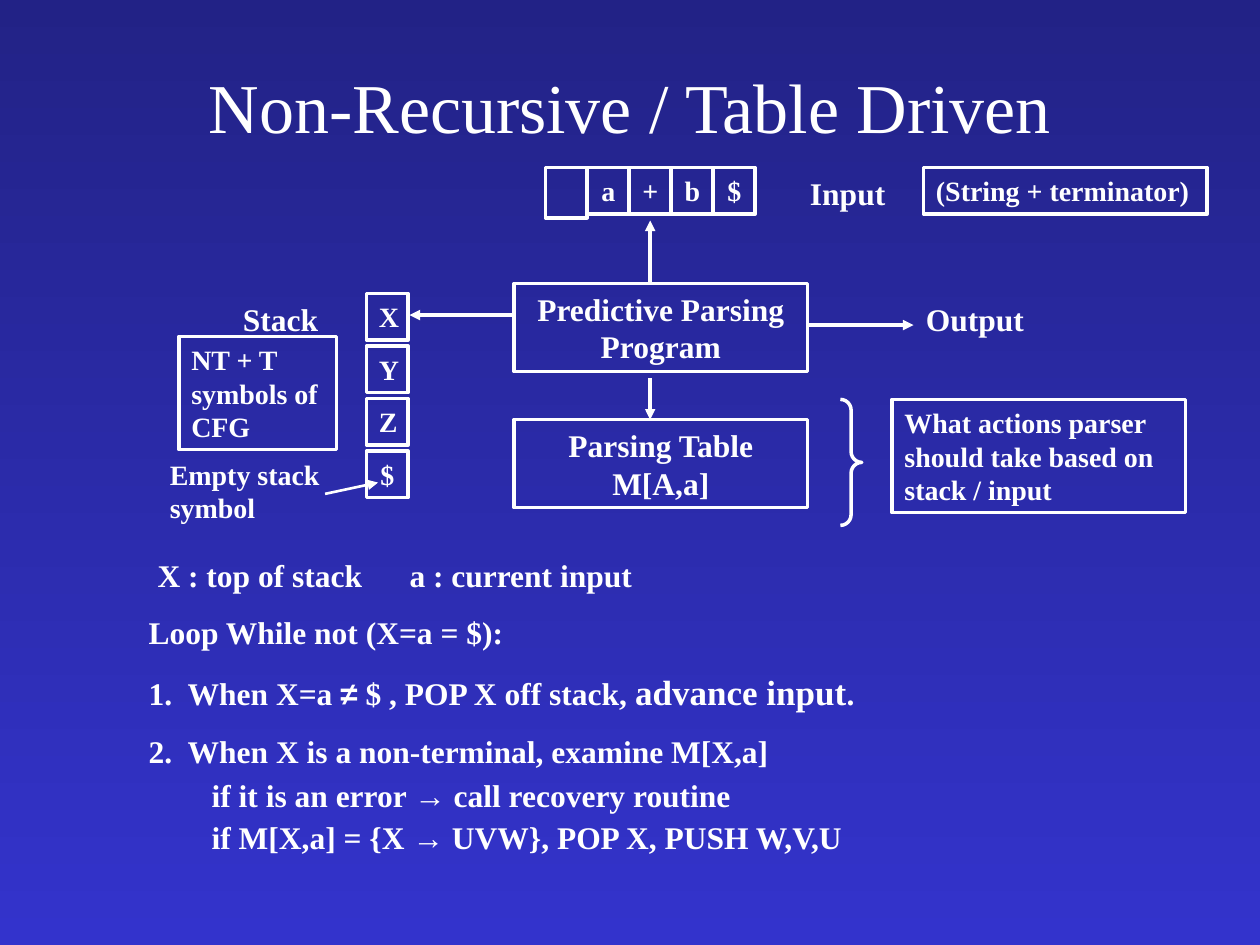
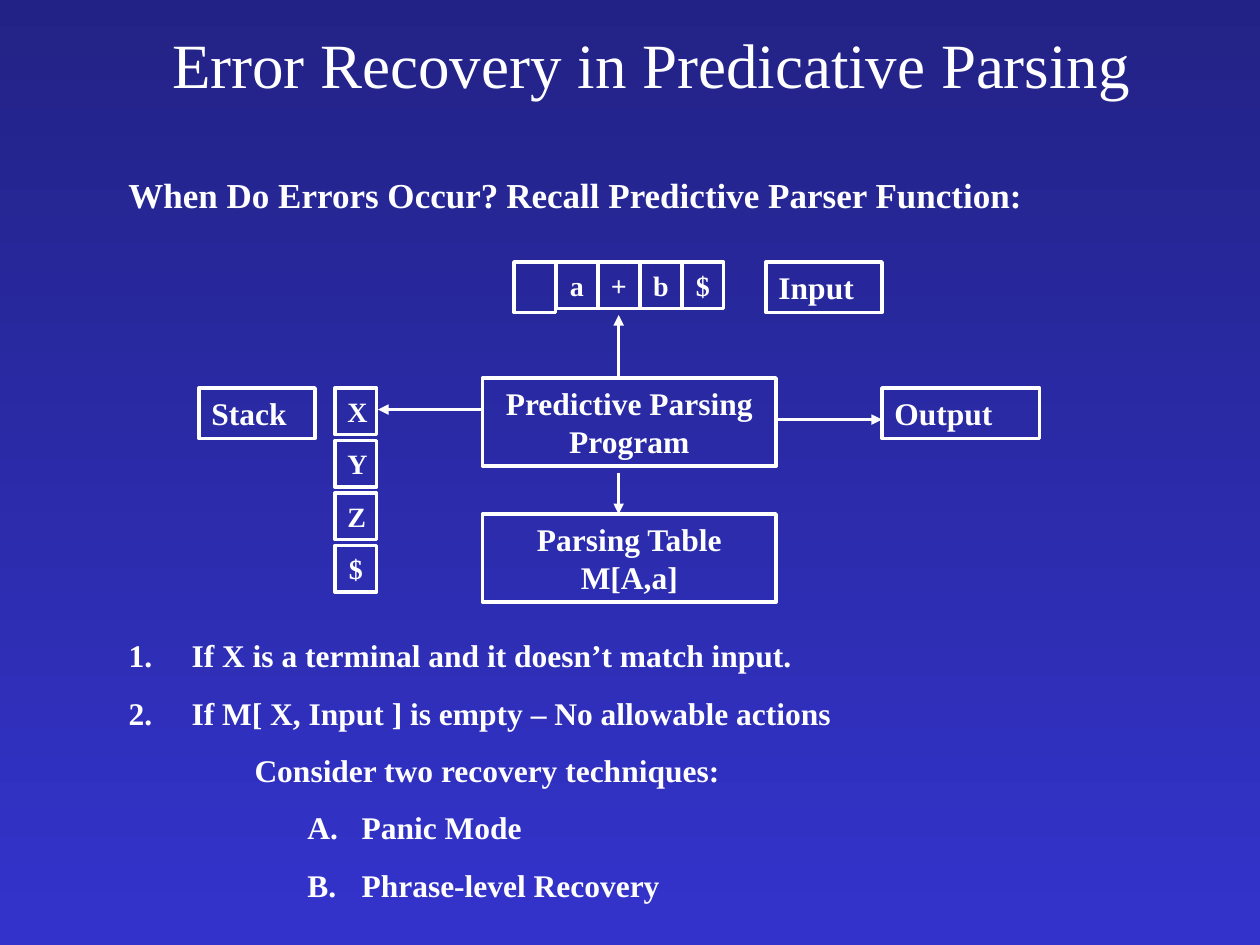
import itertools
from dataclasses import dataclass

import pptx
import pptx.dml.color
import pptx.enum.shapes
import pptx.enum.text
import pptx.oxml.ns
import pptx.util
from lxml import etree

Inches = pptx.util.Inches
Pt = pptx.util.Pt
Shape = pptx.enum.shapes.MSO_SHAPE
Align = pptx.enum.text.PP_ALIGN
Anchor = pptx.enum.text.MSO_ANCHOR


@dataclass(frozen=True)
class Theme:
    top: str = "222286"
    base: str = "3333CC"
    ink: str = "FFFFFF"
    face: str = "Times New Roman"
    signs: str = "Arial"
    cell: int = 16
    text: int = 18
    big: int = 20
    line: float = 2


def rgb(code):
    return pptx.dml.color.RGBColor.from_string(code)


def add(parent, tag, **attrs):
    node = etree.SubElement(parent, pptx.oxml.ns.qn("a:" + tag))
    for key, value in attrs.items():
        node.set(key, str(value))
    return node


class Deck:
    def __init__(self, theme):
        self.theme = theme
        self.prs = pptx.Presentation()
        self.prs.slide_width = Inches(10)
        self.prs.slide_height = Inches(7.5)
        self.slide = None
        # Shared gradient, dark at the top
        fill = self.prs.slide_master.background.fill
        fill.gradient()
        fill.gradient_angle = 270
        for stop, code in zip(fill.gradient_stops, (theme.top, theme.base)):
            stop.color.rgb = rgb(code)

    def place(self, shape, x, y, w, h):
        shape.left, shape.top = Inches(x), Inches(y)
        shape.width, shape.height = Inches(w), Inches(h)

    def start(self, title, size, *box):
        """Add a slide and set its title."""
        self.slide = self.prs.slides.add_slide(self.prs.slide_layouts[1])
        head = self.slide.shapes.title
        self.place(head, *box)
        head.text_frame.auto_size = pptx.enum.text.MSO_AUTO_SIZE.NONE
        head.text_frame.vertical_anchor = Anchor.MIDDLE
        self.put(head.text_frame.paragraphs[0], title, size,
                 align=Align.CENTER, bold=False)

    def put(self, para, text, size, align=Align.LEFT, bold=True, left=0,
            hang=0, mark=None, tab=None, gap=0, pitch=None):
        """Fill a paragraph; |bars| enclose larger words."""
        props = para._p.get_or_add_pPr()
        props.set("marL", str(Inches(left)))
        props.set("indent", str(-Inches(hang)))
        if mark:
            add(add(props, "buClr"), "srgbClr", val=self.theme.ink)
            add(props, "buAutoNum", type=mark)
        else:
            add(props, "buNone")
        if tab:
            add(add(props, "tabLst"), "tab", pos=Inches(tab), algn="l")
        para.alignment = align
        para.space_before = Pt(gap)
        if pitch:
            para.line_spacing = pitch
        font = para.font
        font.name, font.size, font.bold = self.theme.face, Pt(size), bold
        font.color.rgb = rgb(self.theme.ink)
        for i, part in enumerate(text.split("|")):
            for sign, chars in itertools.groupby(part, lambda c: c in "≠→"):
                run = para.add_run()
                run.text = "".join(chars)
                if sign:
                    run.font.name = self.theme.signs
                if i % 2:
                    run.font.size = Pt(self.theme.big)

    def list(self, rows, *box):
        """Fill the body placeholder with (text, options) rows."""
        body = self.slide.placeholders[1]
        self.place(body, *box)
        frame = body.text_frame
        frame.auto_size = pptx.enum.text.MSO_AUTO_SIZE.NONE
        for i, (text, opts) in enumerate(rows):
            para = frame.add_paragraph() if i else frame.paragraphs[0]
            self.put(para, text, self.theme.text,
                     gap=11.2 if i else 0, **opts)

    def style(self, shape):
        shape.shadow.inherit = False
        shape.fill.background()
        shape.line.color.rgb = rgb(self.theme.ink)
        shape.line.width = Pt(self.theme.line)

    def box(self, text, x, y, w, h, size=None, align=Align.LEFT):
        """Framed text."""
        shape = self.slide.shapes.add_shape(
            Shape.RECTANGLE, Inches(x), Inches(y), Inches(w), Inches(h))
        self.style(shape)
        frame = shape.text_frame
        frame.word_wrap = True
        frame.vertical_anchor = Anchor.TOP
        if text:
            self.put(frame.paragraphs[0], text, size or self.theme.cell,
                     align)

    def label(self, text, x, y, w, h, size=None, **opts):
        """Text with no frame."""
        shape = self.slide.shapes.add_textbox(
            Inches(x), Inches(y), Inches(w), Inches(h))
        shape.text_frame.word_wrap = True
        self.put(shape.text_frame.paragraphs[0], text,
                 size or self.theme.cell, **opts)

    def brace(self, x, y, w, h):
        shape = self.slide.shapes.add_shape(
            Shape.RIGHT_BRACE, Inches(x), Inches(y), Inches(w), Inches(h))
        self.style(shape)
        shape.adjustments[0] = 0.5

    def arrow(self, x1, y1, x2, y2, width=None):
        link = self.slide.shapes.add_connector(
            pptx.enum.shapes.MSO_CONNECTOR.STRAIGHT,
            Inches(x1), Inches(y1), Inches(x2), Inches(y2))
        link.line.color.rgb = rgb(self.theme.ink)
        link.line.width = Pt(width or self.theme.line)
        props = link._element.spPr
        add(props.find(pptx.oxml.ns.qn("a:ln")), "tailEnd", type="triangle")
        add(props, "effectLst")

    def parser(self, x, y, framed):
        """Parser diagram; x, y is the corner of the program box."""
        mid, size = Align.CENTER, self.theme.text
        # Input tape and stack
        for i, char in enumerate(["", "a", "+", "b", "$"]):
            self.box(char, x + 0.25 + i / 3, y - 0.92, 0.33,
                     0.37 if char else 0.4, align=mid)
        for i, char in enumerate("XYZ$"):
            self.box(char, x - 1.17, y + 0.08 + i * 5 / 12, 0.33, 0.37,
                     align=mid)
        # Program and table
        self.box("Predictive Parsing Program", x, y, 2.33, 0.7, size, mid)
        self.box("Parsing Table M[A,a]", x, y + 1.08, 2.33, 0.7, size, mid)
        # Names of the parts
        name = self.box if framed else self.label
        name("Input", x + 2.25, y - 0.92, 0.92, 0.4, size)
        name("Stack", x - 2.25, y + 0.08, 0.92, 0.4, size)
        name("Output", x + 3.17, y + 0.08, 1.25, 0.4, size)
        # Flow
        self.arrow(x + 1.08, y, x + 1.08, y - 0.5)
        self.arrow(x, y + 0.25, x - 0.83, y + 0.25)
        self.arrow(x + 1.08, y + 0.75, x + 1.08, y + 1.08)
        self.arrow(x + 2.33, y + 0.33, x + 3.17, y + 0.33)


def main():
    deck = Deck(Theme())
    count = "arabicPeriod"

    # Table-driven parser
    deck.start("Non-Recursive / Table Driven", 40, 0.75, 0.25, 8.5, 1.17)
    deck.parser(4.08, 2.25, framed=False)
    deck.label("Empty stack symbol", 1.25, 3.58, 1.5, 0.64)
    deck.box("(String + terminator)", 7.33, 1.33, 2.25, 0.37)
    deck.box("NT + T symbols of CFG", 1.42, 2.67, 1.25, 0.9)
    deck.box("What actions parser should take based on stack / input",
             7.08, 3.17, 2.33, 0.9)
    deck.arrow(2.58, 3.92, 3, 3.83, 1.5)
    deck.brace(6.67, 3.17, 0.17, 1)
    item = dict(left=0.31, hang=0.31, mark=count)
    case = dict(left=0.5, pitch=0.6)
    deck.list([
        ("X : top of stack\ta : current input", dict(left=0.07, tab=2.19)),
        ("Loop While not (X=a = $):", {}),
        ("When X=a ≠ $ , POP X off stack, |advance input|.", item),
        ("When X is a non-terminal, examine M[X,a]", item),
        ("if it is an error → call recovery routine", case),
        ("if M[X,a] = {X → UVW}, POP X, PUSH W,V,U", case),
    ], 1.08, 4.36, 7.92, 2.51)

    # Error recovery
    deck.start("Error Recovery in Predicative Parsing", 36, 0.92, 0, 8.5, 1)
    deck.parser(3.83, 3, framed=True)
    deck.label("When Do Errors Occur?\tRecall Predictive Parser Function:",
               0.92, 1.33, 8.5, 0.44, deck.theme.big, tab=3.14)
    item = dict(left=0.5, hang=0.5, mark=count)
    way = dict(left=1.85, hang=0.43, mark="alphaUcPeriod")
    deck.list([
        ("If X is a terminal and it doesn’t match input.", item),
        ("If M[ X, Input ] is empty – No allowable actions", item),
        ("Consider two recovery techniques:", dict(left=1)),
        ("Panic Mode", way),
        ("Phrase-level Recovery", way),
    ], 0.92, 5, 8.5, 2.23)

    deck.prs.save("out.pptx")


if __name__ == "__main__":
    main()
